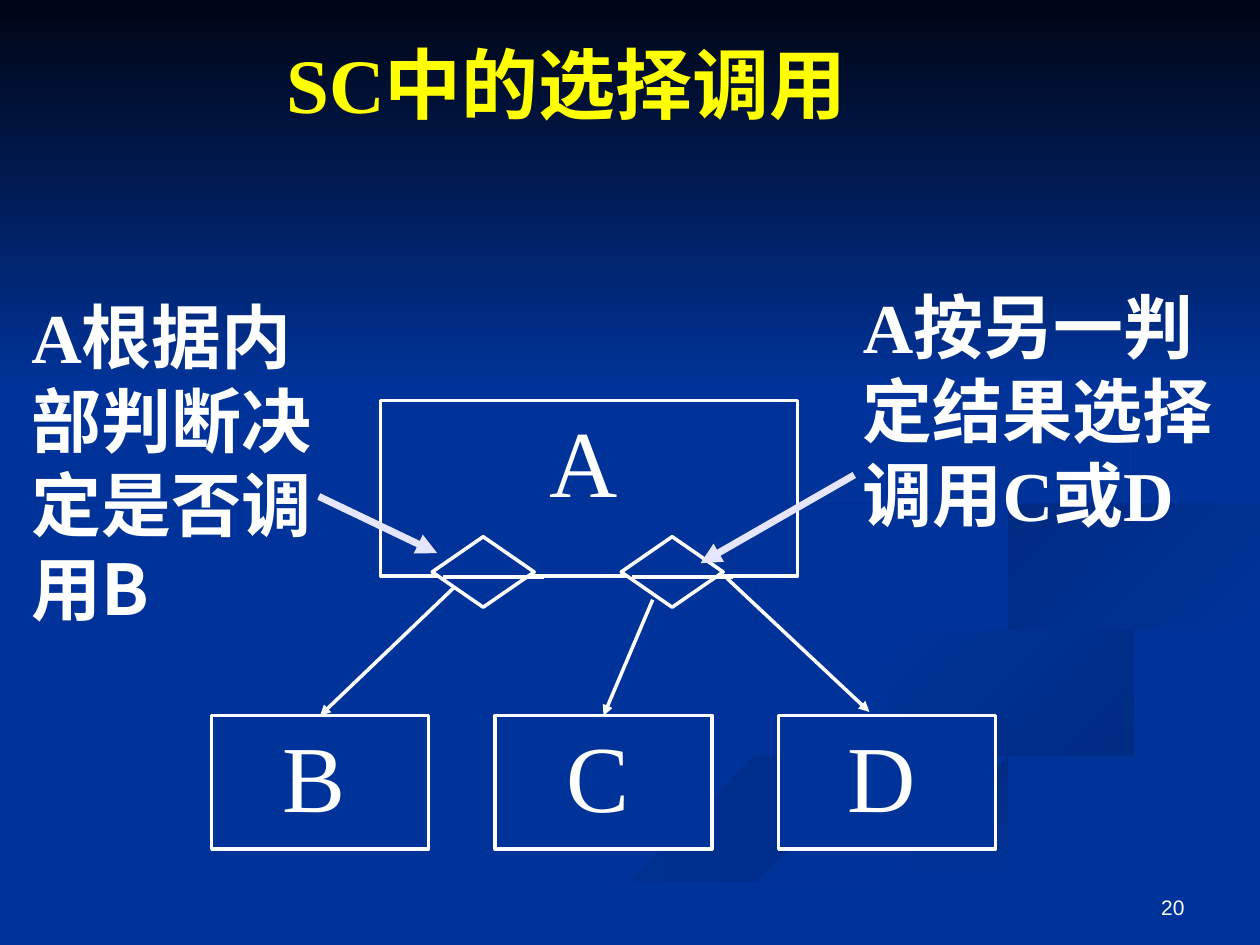
from pptx import Presentation
from pptx.dml.color import RGBColor
from pptx.enum.shapes import MSO_CONNECTOR, MSO_SHAPE
from pptx.enum.text import MSO_ANCHOR, PP_ALIGN
from pptx.oxml.ns import qn
from pptx.util import Inches, Pt
from lxml import etree

RECT, DIAMOND = MSO_SHAPE.RECTANGLE, MSO_SHAPE.DIAMOND
STRAIGHT = MSO_CONNECTOR.STRAIGHT
TOP, MIDDLE, BOTTOM = MSO_ANCHOR.TOP, MSO_ANCHOR.MIDDLE, MSO_ANCHOR.BOTTOM
LEFT, CENTER, RIGHT = PP_ALIGN.LEFT, PP_ALIGN.CENTER, PP_ALIGN.RIGHT

BLUE = RGBColor(0x00, 0x33, 0x99)
NIGHT = RGBColor(0x00, 0x05, 0x14)
SHADE = RGBColor(0x00, 0x2B, 0x83)
WHITE = RGBColor(0xFF, 0xFF, 0xFF)
YELLOW = RGBColor(0xFF, 0xFF, 0x00)
LILAC = RGBColor(0xE5, 0xE5, 0xFF)

SERIF, SANS, CJK = "Times New Roman", "Arial", "Noto Sans CJK SC"

# The slide is a grid of 10 columns by 7.5 rows; all boxes are in these units.
COLS, ROWS = 10, 7.5
UNIT = Inches(1)

# Edges of the background waves; each is drawn as a smooth curve.
BEND = [(7.24, 4.64), (7.6, 4.98), (8.7, 5.3), (9.43, 5.7), (8.94, 6.05)]
BEND_INNER = [(8.94, 6.05), (9.18, 5.8), (8.6, 5.42), (7.24, 4.64)]
FLOOR = [(5.03, 7.49), (6.3, 6.93), (8.3, 6.29), (9.98, 5.81)]
FLOOR_LOWER = [(9.98, 6.09), (7.5, 6.72), (5.7, 7.49)]
HOOK = [(8.26, 4.96), (7.81, 4.6), (8.65, 4.24), (9.98, 4.02)]
HOOK_INNER = [(9.98, 4.2), (8.6, 4.43), (8.05, 4.72), (8.26, 4.96)]
TAIL = [(5.75, 4.59), (6.02, 4.9), (7.81, 5.53), (8, 5.81), (7.4, 6.18), (3.6, 7.49)]
TAIL_INNER = [(3, 7.49), (4.6, 6.74), (7.4, 5.98), (7.86, 5.66), (6.8, 5.19), (5.7, 4.7)]
CREST = [(7.62, 2.33), (8.7, 2.95), (8.9, 3.62), (6.8, 4.3), (5.93, 4.7), (6.22, 5)]
CREST_INNER = [(6.22, 5), (5.77, 4.62), (6.5, 4.2), (8.6, 3.7), (8.7, 2.99), (7.62, 2.33)]

# (fill colours, gradient angle, edges in order)
WAVES = [
    ((BLUE, SHADE), 0, (TAIL, TAIL_INNER)),
    ((BLUE, SHADE), 315, (BEND, BEND_INNER)),
    ((SHADE, BLUE), 270, (FLOOR, FLOOR_LOWER)),
    ((BLUE,), None, (BEND, [(7.4, 6.43), (4.77, 7.49)], FLOOR,
                     [(9.98, 5.38), (8.66, 5.09)], HOOK, [(9.98, 3.87), (8.1, 4.17)])),
    ((SHADE, BLUE), 315, (HOOK, HOOK_INNER)),
    ((SHADE, BLUE), 315, (CREST, CREST_INNER)),
]
CURVE_STEPS = 6


def grid(*lengths):
    return [round(v * UNIT) for v in lengths]


def smooth(points):
    """Catmull-Rom curve through the points."""
    knots = [points[0], *points, points[-1]]
    curve = [points[0]]
    for a, b, c, d in zip(knots, knots[1:], knots[2:], knots[3:]):
        for step in range(1, CURVE_STEPS + 1):
            t = step / CURVE_STEPS
            curve.append(tuple(
                q + t / 2 * (r - p + t * (2 * p - 5 * q + 4 * r - u
                                          + t * (3 * (q - r) + u - p)))
                for p, q, r, u in zip(a, b, c, d)))
    return curve


def paint(sp, colors, angle=None, line=None):
    """Fill with one colour or a two-colour gradient, with an optional outline."""
    sp.shadow.inherit = False
    if len(colors) == 1:
        sp.fill.solid()
        sp.fill.fore_color.rgb = colors[0]
    else:
        sp.fill.gradient()
        sp.fill.gradient_angle = angle
        for stop, color in zip(sp.fill.gradient_stops, colors):
            stop.color.rgb = color
    if line:
        sp.line.color.rgb, sp.line.width = line, Pt(2)
    else:
        sp.line.fill.background()


def write(sp, paragraphs, color, size, bold=False, align=LEFT, **frame):
    """Fill a text frame; each paragraph is a list of (text, font) runs."""
    tf = sp.text_frame
    for name, value in {"word_wrap": True, "vertical_anchor": TOP, **frame}.items():
        setattr(tf, name, value)
    for i, runs in enumerate(paragraphs):
        p = tf.add_paragraph() if i else tf.paragraphs[0]
        p.alignment = align
        for text, face in runs:
            r = p.add_run()
            r.text = text
            for name, value in {"size": Pt(size), "bold": bold, "name": face}.items():
                setattr(r.font, name, value)
            r.font.color.rgb = color
            etree.SubElement(r.font._element, qn("a:ea"), typeface=face)


def text_box(s, box, paragraphs, color, size, **options):
    write(s.shapes.add_textbox(*grid(*box)), paragraphs, color, size, **options)


def line(s, start, end, color=WHITE, width=2, arrow=True):
    c = s.shapes.add_connector(STRAIGHT, *grid(*start, *end))
    c.line.color.rgb, c.line.width = color, Pt(width)
    if arrow:
        etree.SubElement(c.line._get_or_add_ln(), qn("a:tailEnd"), type="triangle")
    etree.SubElement(c._element.spPr, qn("a:effectLst"))
    return c


def backdrop(s, box):
    x, y, w, h = box
    s.background.fill.solid()
    s.background.fill.fore_color.rgb = BLUE
    for colors, angle, edges in WAVES:
        (x0, y0), *rest = [(x + px, y + py) for edge in edges for px, py in smooth(edge)]
        fb = s.shapes.build_freeform(x0, y0, scale=UNIT)
        fb.add_line_segments(rest)
        paint(fb.convert_to_shape(), colors, angle)
    sky = s.shapes.add_shape(RECT, *grid(x, y, w, h * 0.41))
    paint(sky, (NIGHT, BLUE), 270)


def module(s, box, name):
    sp = s.shapes.add_shape(RECT, *grid(*box))
    paint(sp, (BLUE,), line=WHITE)
    write(sp, [[(name, SERIF)]], WHITE, 54, align=CENTER,
          margin_left=0, margin_right=Inches(0.09), margin_top=Inches(0.02))
    return sp


def structure_chart(s, box):
    """Caller A above its modules, with a decision diamond per choice."""
    x, y, w, h = box
    module(s, (x + 1.34, y, 3.31, 1.39), "A")
    child_w, child_h = 1.72, 1.06
    step, child_y = (w - child_w) / 2, y + h - child_h
    # name, start of the call, landing point if it is off the middle of the top
    calls = [("B", (2, 1.41), None), ("C", (3.5, 1.58), None), ("D", (4.09, 1.41), 5.22)]
    for i, (name, (dx, dy), landing) in enumerate(calls):
        child = module(s, (x + i * step, child_y, child_w, child_h), name)
        end_x = landing or i * step + child_w / 2
        call = line(s, (x + dx, y + dy), (x + end_x, child_y - 0.03))
        if landing is None:
            call.end_connect(child, 0)
    for dx in (1.75, 3.25):
        diamond = s.shapes.add_shape(DIAMOND, *grid(x + dx, y + 1.08, 0.81, 0.56))
        paint(diamond, (BLUE,), line=WHITE)
        line(s, (x + dx + 0.09, y + 1.4), (x + dx + 0.89, y + 1.4), arrow=False)


def note(s, box, paragraphs, start, end):
    """Bold remark; its pointer runs between offsets from the box corner."""
    x, y = box[:2]
    line(s, (x + start[0], y + start[1]), (x + end[0], y + end[1]), LILAC, 4)
    text_box(s, box, paragraphs, WHITE, 40, bold=True)


def main():
    prs = Presentation()
    prs.slide_width, prs.slide_height = grid(COLS, ROWS)
    s = prs.slides.add_slide(prs.slide_layouts[6])
    backdrop(s, (0, 0, COLS, ROWS))
    text_box(s, (7.17, 6.83, 2.33, 0.52), [[("20", SANS)]], WHITE, 12,
             align=RIGHT, vertical_anchor=BOTTOM)
    text_box(s, (0.75, 0.15, 7.5, 1.02), [[("SC", SERIF), ("中的选择调用", CJK)]],
             YELLOW, 44, bold=True, align=CENTER, vertical_anchor=MIDDLE)
    structure_chart(s, (1.68, 3.18, 6.22, 3.56))
    note(s, (0.15, 2.28, 2.68, 2.76),
         [[("A", SERIF), ("根据内", CJK)], [("部判断决定是否调用B", CJK)]],
         (2.38, 1.66), (3.32, 2.11))
    note(s, (6.75, 2.2, 3.25, 2.1),
         [[("A", SERIF), ("按另一判", CJK)],
          [("定结果选择调用", CJK), ("C", SERIF), ("或", CJK), ("D", SERIF)]],
         (0.03, 1.57), (-1.19, 2.27))
    prs.save("out.pptx")


if __name__ == "__main__":
    main()
